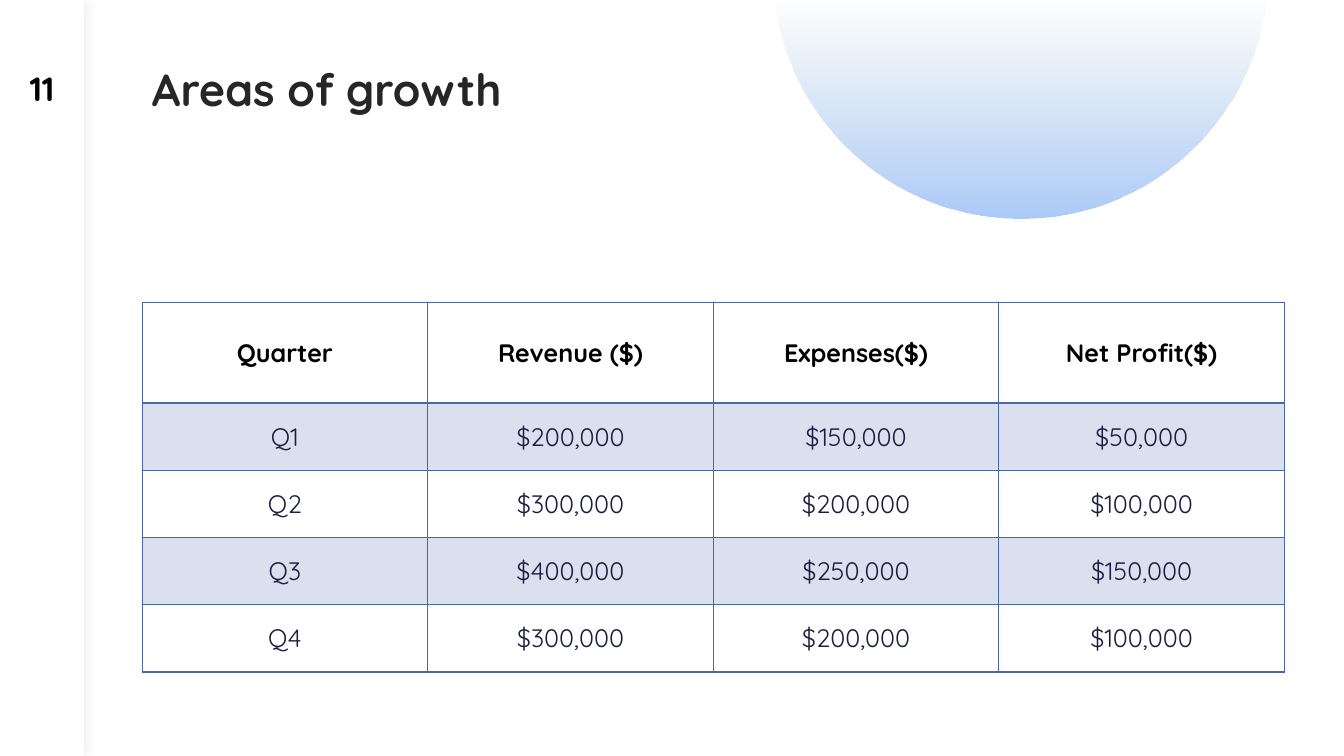
from math import asin, cos, pi, sin

from pptx import Presentation
from pptx.dml.color import RGBColor
from pptx.enum.shapes import MSO_SHAPE
from pptx.enum.text import MSO_ANCHOR as Anchor, PP_ALIGN as Align
from pptx.oxml import parse_xml
from pptx.oxml.ns import nsdecls, qn
from pptx.util import Pt

FONT = "Quicksand"
BLUE = "4A66AC"
HEADERS = ["Quarter", "Revenue ($)", "Expenses($)", "Net Profit($)"]
QUARTERS = [
    ["Q1", "$200,000", "$150,000", "$50,000"],
    ["Q2", "$300,000", "$200,000", "$100,000"],
    ["Q3", "$400,000", "$250,000", "$150,000"],
    ["Q4", "$300,000", "$200,000", "$100,000"],
]


def color(hex_text):
    """Turn a hex string into a colour."""
    return RGBColor.from_string(hex_text)


def set_alpha(color_element, percent):
    """Set the opacity of a colour element."""
    color_element.append(parse_xml(f'<a:alpha {nsdecls("a")} val="{percent * 1000}"/>'))


def write(frame, text, size, hex_text, bold, align):
    """Write one run into the first paragraph of a text frame."""
    paragraph = frame.paragraphs[0]
    paragraph.alignment = align
    run = paragraph.add_run()
    run.text = text
    run.font.name, run.font.size, run.font.bold = FONT, Pt(size), bold
    run.font.color.rgb = color(hex_text)
    return paragraph


def add_half_disc(slide, left, top, width, height):
    """Draw the disc segment that hangs from the top edge of its box."""
    radius = (height ** 2 + (width / 2) ** 2) / (2 * height)
    center_x, center_y = left + width / 2, top + height - radius
    start = asin((radius - height) / radius)
    steps = 90
    angles = [start + (pi - 2 * start) * step / steps for step in range(steps + 1)]
    points = [
        (Pt(center_x + radius * cos(angle)), Pt(center_y + radius * sin(angle)))
        for angle in angles
    ]
    builder = slide.shapes.build_freeform(*points[0])
    builder.add_line_segments(points[1:], close=True)
    disc = builder.convert_to_shape()
    disc.shadow.inherit = False
    disc.line.fill.background()
    disc.fill.gradient()
    disc.fill.gradient_angle = 270
    for stop, hex_text, position in zip(disc.fill.gradient_stops, ("B4CCE7", "ACCBF9"), (0, 1)):
        stop.color.rgb = color(hex_text)
        stop.position = position
    set_alpha(next(disc._element.spPr.iter(qn("a:srgbClr"))), 0)


def add_side_bar(slide, left, top, width, height, number):
    """Draw the white side bar with its soft shadow and the page number."""
    bar = slide.shapes.add_shape(MSO_SHAPE.RECTANGLE, Pt(left), Pt(top), Pt(width), Pt(height))
    bar.shadow.inherit = False
    bar.fill.solid()
    bar.fill.fore_color.rgb = color("FFFFFF")
    bar.line.fill.background()
    bar._element.spPr.find(qn("a:effectLst")).append(parse_xml(
        f'<a:outerShdw {nsdecls("a")} blurRad="{Pt(10)}" dist="0" dir="0" algn="ctr" '
        'rotWithShape="0"><a:srgbClr val="000000"><a:alpha val="10000"/></a:srgbClr></a:outerShdw>'
    ))
    box = slide.shapes.add_textbox(Pt(left), Pt(top + 48), Pt(width), Pt(30))
    frame = box.text_frame
    frame.word_wrap = True
    frame.vertical_anchor = Anchor.MIDDLE
    write(frame, number, 24, "000000", True, Align.CENTER)


def add_title(slide, left, top, width, height, text):
    """Write the slide title."""
    frame = slide.shapes.add_textbox(Pt(left), Pt(top), Pt(width), Pt(height)).text_frame
    frame.word_wrap = True
    write(frame, text, 32, "262626", True, Align.LEFT).line_spacing = 0.8


def add_borders(cell, bottom_width, top_width):
    """Put blue lines on the four sides of a cell."""
    properties = cell._tc.get_or_add_tcPr()
    for side, width in (("L", 1), ("R", 1), ("T", top_width), ("B", bottom_width)):
        properties.append(parse_xml(
            f'<a:ln{side} {nsdecls("a")} w="{Pt(width)}"><a:solidFill>'
            f'<a:srgbClr val="{BLUE}"/></a:solidFill></a:ln{side}>'
        ))


def add_growth_table(slide, left, top, width, height):
    """Place the quarterly table, its header row half again as tall as the others."""
    rows = [HEADERS] + QUARTERS
    row_height = height / (len(QUARTERS) + 1.5)
    table = slide.shapes.add_table(
        len(rows), len(HEADERS), Pt(left), Pt(top), Pt(width), Pt(height)
    ).table
    table.first_row = table.horz_banding = False
    for column in table.columns:
        column.width = Pt(width / len(HEADERS))
    for row_index, values in enumerate(rows):
        is_header = row_index == 0
        table.rows[row_index].height = Pt(row_height * (1.5 if is_header else 1))
        for column_index, value in enumerate(values):
            cell = table.cell(row_index, column_index)
            cell.vertical_anchor = Anchor.MIDDLE
            add_borders(cell, 2 if is_header else 1, 2 if row_index == 1 else 1)
            if row_index % 2:
                cell.fill.solid()
                cell.fill.fore_color.rgb = color(BLUE)
                solid = cell._tc.tcPr.find(qn("a:solidFill"))
                set_alpha(solid.find(qn("a:srgbClr")), 20)
            else:
                cell.fill.background()
            text_color = "000000" if is_header else "1B1E3E"
            write(cell.text_frame, value, 18, text_color, is_header, Align.CENTER)


def main():
    """Build the slide and save it."""
    presentation = Presentation()
    presentation.slide_width, presentation.slide_height = Pt(960), Pt(540)
    slide = presentation.slides.add_slide(presentation.slide_layouts[6])
    add_half_disc(slide, 553, 0, 351.4, 156)
    add_side_bar(slide, 0, 0, 60, 540, "11")
    add_title(slide, 101.5, 48, 387.5, 114, "Areas of growth")
    add_growth_table(slide, 101.5, 216, 816, 264)
    presentation.save("out.pptx")


if __name__ == "__main__":
    main()
